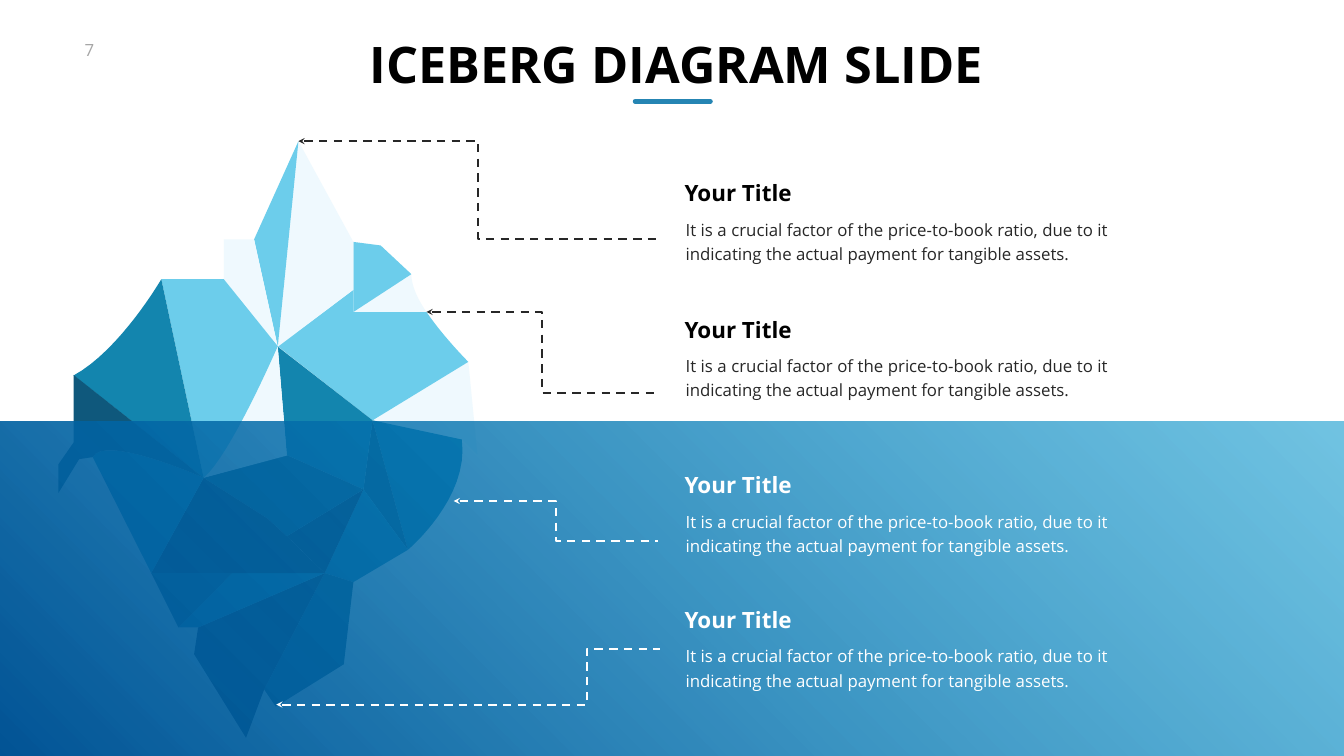
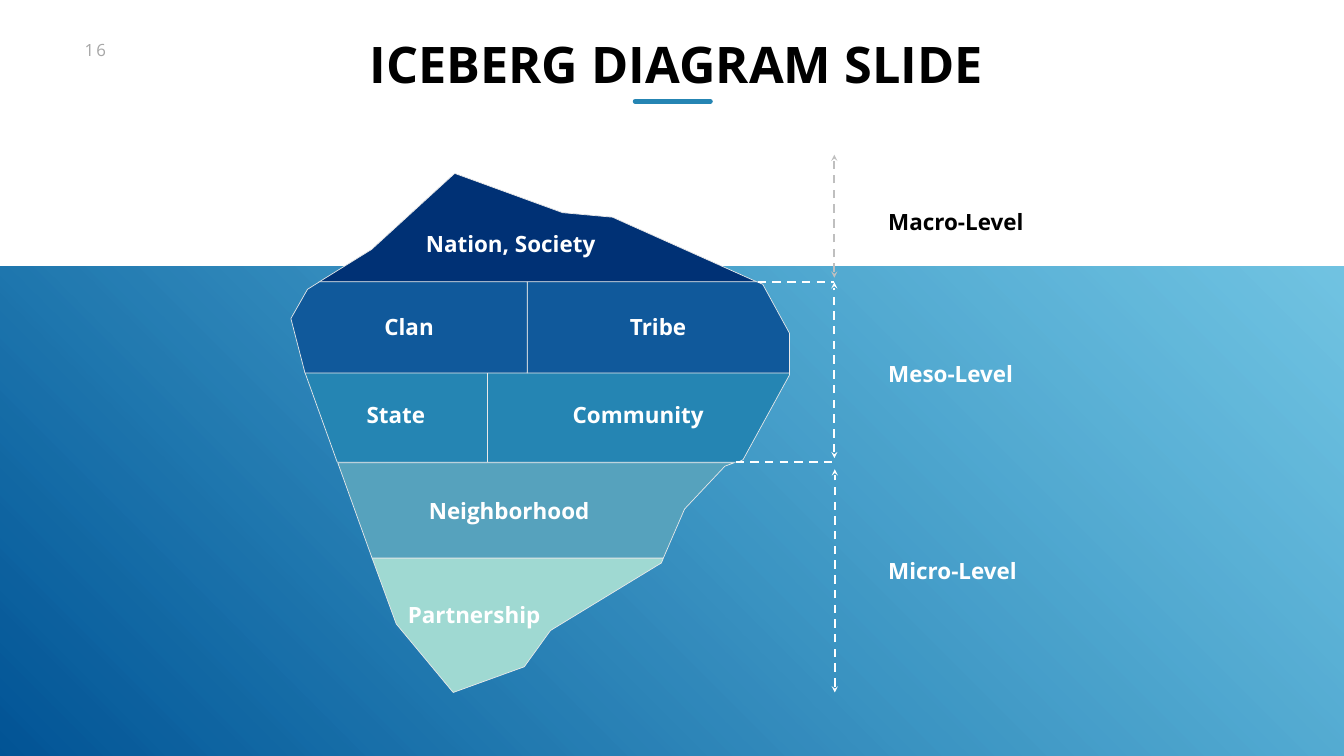
from dataclasses import dataclass

from lxml.etree import SubElement
from pptx import Presentation
from pptx.dml.color import RGBColor as Rgb
from pptx.enum.dml import MSO_LINE_DASH_STYLE as Dash
from pptx.enum.shapes import MSO_AUTO_SHAPE_TYPE as Shape, MSO_CONNECTOR as Link
from pptx.enum.text import MSO_ANCHOR as Anchor, MSO_AUTO_SIZE as Fit, PP_ALIGN as Align
from pptx.oxml.ns import qn
from pptx.util import Inches, Pt


@dataclass(frozen=True)
class Theme:
    font: str = "Open Sans"
    black: str = "000000"
    white: str = "FFFFFF"
    ink: str = "272727"
    number: str = "A6A6A6"
    grey: str = "BFBFBF"
    edge: str = "E9E9E9"
    accent: str = "2585B3"
    sea_deep: str = "005496"
    sea_light: str = "0D99CE"
    snow: str = "EFF9FE"
    ice: str = "6CCDEB"
    teal: str = "1385AE"
    slate: str = "0F587C"
    night: str = "0F2A4B"
    heading: int = 72
    label: int = 32
    body: int = 24


THEME = Theme()
WIDTH, HEIGHT = 26.66, 15
TITLE = "ICEBERG DIAGRAM SLIDE"
BODY = ("It is a crucial factor of the price-to-book ratio, due to it "
        "indicating the actual payment for tangible assets.")

# A pair is a corner; six numbers are a Bezier segment.
FACETS = [
    (THEME.snow, [(9.29, 7.18), (9.47, 9.02), (9.16, 8.71), (7.39, 8.34)]),
    (THEME.ice, [(9.29, 7.18), (7.39, 8.34), (5.51, 6.87), (7.01, 5.75), (7.01, 6.19),
                 (8.46, 6.19), (8.8, 6.69, 9.29, 7.18, 9.29, 7.18)]),
    (THEME.teal, [(9.16, 8.72), (9.32, 9.88, 8.09, 10.91, 8.09, 10.91), (7.39, 8.34)]),
    (THEME.snow, [(8.46, 6.19), (7.01, 6.19), (8.16, 5.44),
                  (8.16, 5.66, 8.28, 5.93, 8.46, 6.19)]),
    (THEME.ice, [(8.16, 5.44), (7.01, 6.19), (7.01, 4.8), (7.55, 4.87)]),
    (THEME.slate, [(7.39, 8.34), (8.09, 10.91), (7.21, 9.71)]),
    (THEME.teal, [(7.21, 9.71), (8.09, 10.91), (7.01, 11.55), (6.44, 11.37)]),
    (THEME.teal, [(7.39, 8.34), (7.21, 9.71), (5.69, 9.03), (5.51, 6.88)]),
    (THEME.night, [(7.21, 9.71), (6.44, 11.37), (5.69, 10.64)]),
    (THEME.slate, [(7.21, 9.71), (5.69, 10.64), (5.31, 10.29), (4.04, 9.48), (5.69, 9.03)]),
    (THEME.snow, [(7.01, 4.8), (7.01, 5.75), (5.51, 6.88), (5.92, 2.8)]),
    (THEME.slate, [(7.01, 11.55), (6.82, 13.18), (5.47, 14.02), (5.24, 13.68), (6.44, 11.37)]),
    (THEME.night, [(6.44, 11.37), (5.24, 13.68), (4.88, 14.64), (3.85, 12.98), (3.93, 12.45)]),
    (THEME.teal, [(6.44, 11.37), (3.93, 12.45), (3.54, 12.45), (4.61, 11.37)]),
    (THEME.night, [(6.44, 11.37), (3, 11.37), (4.04, 9.48), (5.31, 10.29), (5.69, 10.64)]),
    (THEME.ice, [(5.92, 2.8), (5.51, 6.88), (5.04, 4.75)]),
    (THEME.snow, [(5.51, 6.88), (5.69, 9.04), (4.04, 9.48),
                  (4.58, 9.02, 5.51, 6.88, 5.51, 6.88)]),
    (THEME.snow, [(5.04, 4.75), (5.51, 6.88), (4.44, 5.54), (4.44, 4.75)]),
    (THEME.ice, [(4.44, 5.54), (5.51, 6.87), (5.51, 6.87, 4.58, 9.02, 4.04, 9.48), (3.2, 5.54)]),
    (THEME.slate, [(4.61, 11.37), (3.54, 12.45), (3, 11.37)]),
    (THEME.teal, [(3.2, 5.54), (4.04, 9.48), (1.46, 7.45),
                  (2.38, 6.95, 3.2, 5.54, 3.2, 5.54)]),
    (THEME.teal, [(4.04, 9.48), (3, 11.37), (1.84, 9.07),
                  (2.07, 8.61, 3.99, 9.46, 4.04, 9.48)]),
    (THEME.slate, [(1.46, 7.44), (4.04, 9.48), (3.99, 9.46, 2.07, 8.61, 1.84, 9.07),
                   (1.57, 9.11), (1.16, 9.78), (1.16, 9.21), (1.46, 8.78)]),
]
CALLOUTS = [
    (3.51, THEME.black, THEME.ink, (5.92, 2.8), (13.05, 4.75), 0.5),
    (6.21, THEME.black, THEME.ink, (8.46, 6.19), (13.05, 7.8), 0.5),
    (9.3, THEME.white, THEME.white, (9, 9.94), (13.05, 10.73), 0.5),
    (11.97, THEME.white, THEME.white, (5.48, 13.98), (13.09, 12.87), 0.81),
]
LAYERS = [
    ("003175", [(7.37, 4.95), (6.32, 5.6), (15.03, 5.6), (12.15, 4.31), (11.16, 4.22),
                (9.02, 3.44)]),
    ("9FD9D2", [(7.38, 11.07), (7.86, 12.38), (8.99, 13.74), (10.4, 13.23), (10.92, 12.51),
                (13.12, 11.17), (13.16, 11.07)]),
    (THEME.accent, [(9.67, 7.36), (6.04, 7.36), (6.06, 7.42), (6.69, 9.17), (9.67, 9.17)]),
    (THEME.accent, [(9.67, 7.36), (9.67, 9.17), (14.64, 9.17), (14.74, 9.12), (15.66, 7.44),
                    (15.66, 7.36)]),
    ("10599B", [(15.01, 5.59), (10.46, 5.59), (10.46, 7.4), (15.66, 7.4), (15.66, 6.61),
                (15.13, 5.64)]),
    ("10599B", [(10.46, 5.59), (6.34, 5.59), (6.1, 5.74), (5.77, 6.32), (6.05, 7.4),
                (10.46, 7.4)]),
    ("56A2BD", [(6.7, 9.18), (7.38, 11.07), (13.16, 11.07), (13.58, 10.1), (14.38, 9.25),
                (14.57, 9.18)]),
]
LAYER_LABELS = [
    ("Nation, Society", 8.33, 4.52, 3.6), ("Clan", 7.52, 6.16, 1.19),
    ("Tribe", 12.39, 6.16, 1.33), ("Community", 11.25, 7.9, 2.82),
    ("State", 7.17, 7.9, 1.37), ("Neighborhood", 8.39, 9.8, 3.42),
    ("Partnership", 7.98, 11.88, 2.85),
]
LEVELS = [
    ("Macro-Level", 4.07, 2.91, THEME.black, THEME.grey, (16.55, 5.51), (16.55, 3.07)),
    ("Meso-Level", 7.09, 2.7, THEME.white, THEME.white, (16.55, 9.09), (16.55, 5.6)),
    ("Micro-Level", 11.01, 2.78, THEME.white, THEME.white, (16.56, 13.74), (16.56, 9.31)),
]
LEVEL_BORDERS = [((15.03, 5.59), (16.55, 5.59)), ((14.59, 9.16), (16.54, 9.16))]


def apply(target, **values):
    for name, value in values.items():
        setattr(target, name, value)


def write(box, text, size, color, bold=False, align=Align.LEFT, spacing=None, **frame_values):
    frame = box.text_frame
    apply(frame, **{"word_wrap": False, "vertical_anchor": Anchor.TOP,
                    "auto_size": Fit.SHAPE_TO_FIT_TEXT, **frame_values})
    para = frame.paragraphs[0]
    apply(para, alignment=align, line_spacing=spacing, space_before=Pt(0))
    span = para.add_run()
    span.text = text
    apply(span.font, name=THEME.font, size=Pt(size), bold=bold)
    span.font.color.rgb = Rgb.from_string(color)
    return span


def add_text(page, place, *content, **values):
    box = page.shapes.add_textbox(*map(Inches, place))
    return write(box, *content, **values)


def add_label(page, place, text, color, align=Align.LEFT):
    add_text(page, place, text, THEME.label, color, bold=True, align=align,
             vertical_anchor=Anchor.MIDDLE)


def add_line(page, start, end, color, width=3, dash=Dash.DASH, ends=(), kind=Link.STRAIGHT,
             bend=None, cap="flat"):
    line = page.shapes.add_connector(kind, *map(Inches, start + end))
    apply(line.line, width=Pt(width), dash_style=dash)
    line.line.color.rgb = Rgb.from_string(color)
    properties = line._element.spPr
    stroke = properties.find(qn("a:ln"))
    stroke.set("cap", cap)
    for end_name in ends:
        SubElement(stroke, qn(f"a:{end_name}"), type="stealth")
    SubElement(properties, qn("a:effectLst"))
    if bend is not None:
        guides = next(properties.iter(qn("a:avLst")))
        SubElement(guides, qn("a:gd"), name="adj1", fmla=f"val {round(bend * 100000)}")


def flatten(outline, steps=16):
    points = []
    for part in outline:
        if len(part) == 2:
            points.append(part)
            continue
        knots = [points[-1], part[:2], part[2:4], part[4:]]
        for step in range(1, steps + 1):
            t = step / steps
            weights = ((1 - t) ** 3, 3 * t * (1 - t) ** 2, 3 * t * t * (1 - t), t ** 3)
            points.append(tuple(sum(w * knot[axis] for w, knot in zip(weights, knots))
                                for axis in (0, 1)))
    return [(Inches(x), Inches(y)) for x, y in points]


def add_iceberg(page, pieces, edge=None):
    group = page.shapes.add_group_shape()
    for color, outline in pieces:
        first, *others = flatten(outline)
        builder = group.shapes.build_freeform(*first)
        builder.add_line_segments(others, close=True)
        piece = builder.convert_to_shape()
        piece.shadow.inherit = False
        piece.fill.solid()
        piece.fill.fore_color.rgb = Rgb.from_string(color)
        if edge:
            piece.line.color.rgb = Rgb.from_string(edge)
            piece.line.width = Pt(1)
        else:
            piece.line.fill.background()


def add_sea(page, top):
    sea = page.shapes.add_shape(Shape.RECTANGLE, 0, Inches(top), Inches(WIDTH),
                                Inches(HEIGHT - top))
    sea.shadow.inherit = False
    sea.line.fill.background()
    sea.fill.gradient()
    sea.fill.gradient_angle = 45
    for stop, color, position in zip(sea.fill.gradient_stops,
                                     (THEME.sea_deep, THEME.sea_light), (0, 1)):
        stop.color.rgb = Rgb.from_string(color)
        stop.position = position
    light = list(sea._element.spPr.iter(qn("a:srgbClr")))[-1]
    SubElement(light, qn("a:alpha"), val="59000")


def add_page(deck, number):
    page = deck.slides.add_slide(deck.slide_layouts[5])
    title = page.shapes.title
    apply(title, left=Inches(7.17), top=Inches(0.65), width=Inches(12.39), height=Inches(1.21))
    write(title, TITLE, THEME.heading, THEME.black, bold=True, align=Align.CENTER,
          margin_left=Inches(0.1), margin_right=0, margin_top=0, margin_bottom=0)
    span = add_text(page, (1.58, 0.74, 0.75, 0.5), number, THEME.body, THEME.number)
    span._r.get_or_add_rPr().set("spc", "300")
    add_line(page, (12.6, 2.01), (14.09, 2.01), THEME.accent, width=7, dash=Dash.SOLID,
             cap="rnd")
    return page


def build_callouts(deck):
    page = add_page(deck, "7")
    add_iceberg(page, FACETS)
    add_sea(page, 8.36)
    for top, title_color, color, start, end, bend in CALLOUTS:
        add_line(page, start, end, color, ends=["headEnd"], kind=Link.ELBOW, bend=bend)
        add_label(page, (13.48, top, 2.35, 0.64), "Your Title", title_color)
        add_text(page, (13.36, top + 0.64, 8.86, 1.19), BODY, THEME.body, color,
                 align=Align.JUSTIFY, spacing=Pt(35), word_wrap=True,
                 margin_left=Inches(0.24), margin_right=Inches(0.24),
                 margin_top=Inches(0.12), margin_bottom=Inches(0.12))


def build_levels(deck):
    page = add_page(deck, "16")
    add_sea(page, 5.29)
    add_iceberg(page, LAYERS, THEME.edge)
    for start, end in LEVEL_BORDERS:
        add_line(page, start, end, THEME.white)
    for text, top, width, color, arrow_color, start, end in LEVELS:
        add_line(page, start, end, arrow_color, ends=["headEnd", "tailEnd"])
        add_label(page, (17.52, top, width, 0.64), text, color)
    for text, left, top, width in LAYER_LABELS:
        add_label(page, (left, top, width, 0.64), text, THEME.white, Align.CENTER)


def main():
    deck = Presentation()
    apply(deck, slide_width=Inches(WIDTH), slide_height=Inches(HEIGHT))
    build_callouts(deck)
    build_levels(deck)
    deck.save("out.pptx")


if __name__ == "__main__":
    main()
